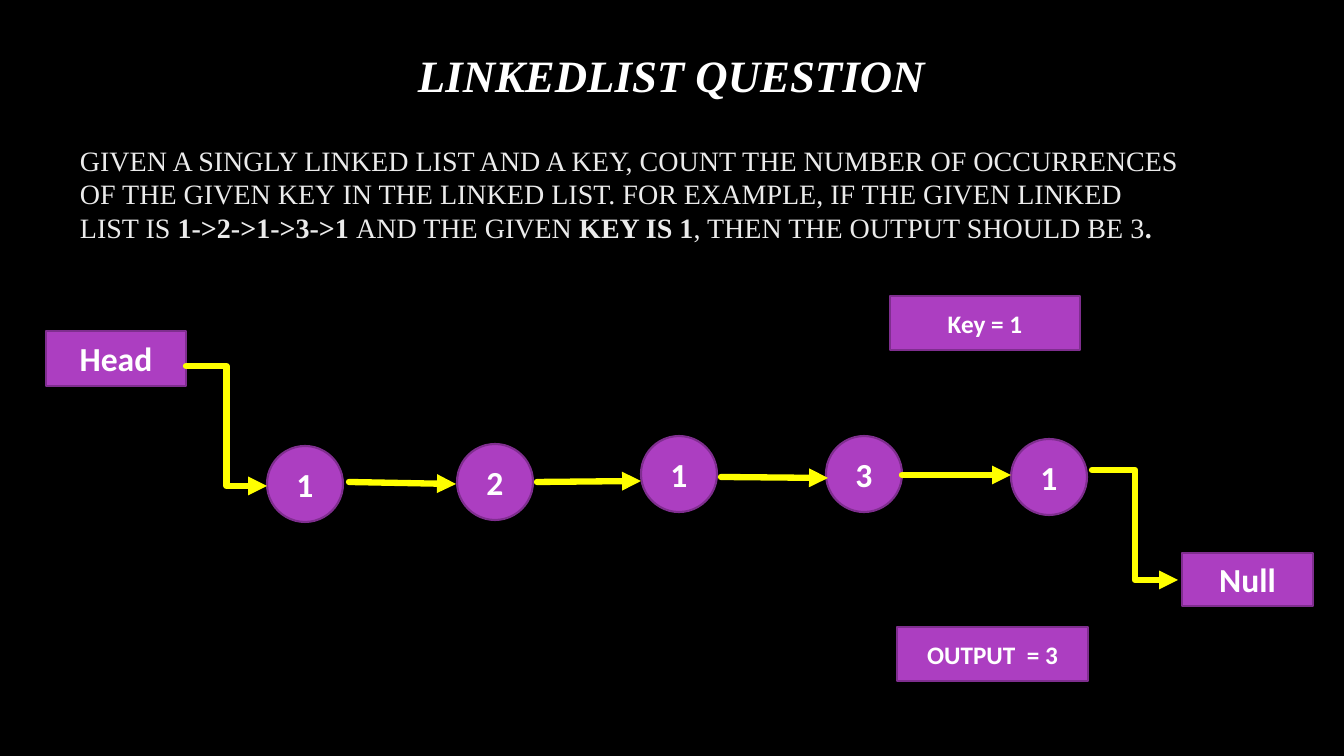
from lxml import etree
from pptx import Presentation
from pptx import util as u
from pptx.dml.color import RGBColor
from pptx.enum import shapes, text
from pptx.oxml import ns

BLACK = RGBColor(0, 0, 0)
WHITE = RGBColor(255, 255, 255)
PALE = RGBColor(0xEB, 0xEB, 0xEB)
PURPLE = RGBColor(0xAC, 0x3E, 0xC1)
DARK_PURPLE = RGBColor(0x7F, 0x2E, 0x8F)
YELLOW = RGBColor(255, 255, 0)
SERIF, SANS = "Times New Roman", "Calibri"
SCALE = 914400 / 100.8


def px(*lengths):
    return [round(length * SCALE) for length in lengths]


def set_text(frame, anchor, align, size, face, color):
    frame.word_wrap = True
    frame.auto_size = text.MSO_AUTO_SIZE.NONE
    frame.vertical_anchor = anchor
    frame.margin_left, frame.margin_right, frame.margin_top, frame.margin_bottom = px(7, 7, 4, 4)
    line = frame.paragraphs[0]
    line.alignment = align
    line.font.size, line.font.name, line.font.color.rgb = u.Pt(size), face, color
    return line


deck = Presentation()
deck.slide_width, deck.slide_height = px(1344, 756)
slide = deck.slides.add_slide(deck.slide_layouts[5])
slide.background.fill.solid()
slide.background.fill.fore_color.rgb = BLACK

title = slide.shapes.title
title.left, title.top, title.width, title.height = px(411, 44, 557, 61)
title.text_frame.text = "LINKEDLIST QUESTION"
heading = set_text(title.text_frame, text.MSO_ANCHOR.TOP, text.PP_ALIGN.LEFT, 32, SERIF, WHITE)
heading.font.bold = heading.font.italic = True

question = slide.shapes.add_textbox(*px(73, 139, 1118, 110)).text_frame
wording = set_text(question, text.MSO_ANCHOR.TOP, text.PP_ALIGN.LEFT, 20, SERIF, PALE)
for words, bold in [
    ("GIVEN A SINGLY LINKED LIST AND A KEY, COUNT THE NUMBER OF OCCURRENCES OF THE\u00a0GIVEN KEY\u00a0"
     "IN THE LINKED LIST. FOR EXAMPLE, IF THE GIVEN LINKED LIST IS\u00a0", False),
    ("1->2->1->3->1", True),
    ("\u00a0AND THE GIVEN\u00a0", False),
    ("KEY IS\u00a01", True),
    (", THEN THE OUTPUT SHOULD BE 3", False),
    (".", True),
]:
    run = wording.add_run()
    run.text, run.font.bold = words, bold

RECT, CIRCLE = shapes.MSO_SHAPE.RECTANGLE, shapes.MSO_SHAPE.OVAL
for label, kind, left, top, width, height, size in [
    ("Key = 1", RECT, 890, 296, 190, 54, 18),
    ("OUTPUT\u00a0 = 3", RECT, 897, 627, 191, 54, 18),
    ("Head", RECT, 46, 331, 140, 55, 24),
    ("Null", RECT, 1182, 553, 131, 53, 24),
    ("1", CIRCLE, 267, 446, 76, 76, 24),
    ("2", CIRCLE, 457, 444, 76, 76, 24),
    ("1", CIRCLE, 641, 436, 76, 76, 24),
    ("3", CIRCLE, 826, 436, 76, 76, 24),
    ("1", CIRCLE, 1011, 439, 76, 76, 24),
]:
    node = slide.shapes.add_shape(kind, *px(left, top, width, height))
    node.shadow.inherit = False
    node.fill.solid()
    node.fill.fore_color.rgb = PURPLE
    node.line.color.rgb = DARK_PURPLE
    node.line.width = u.Pt(1.5)
    node.text_frame.text = label
    caption = set_text(node.text_frame, text.MSO_ANCHOR.MIDDLE, text.PP_ALIGN.CENTER, size, SANS, WHITE)
    caption.font.bold = True

STRAIGHT, ELBOW = shapes.MSO_CONNECTOR.STRAIGHT, shapes.MSO_CONNECTOR.ELBOW
for kind, *ends in [
    (ELBOW, 186, 366, 267, 486),
    (STRAIGHT, 349, 482, 456, 484),
    (STRAIGHT, 537, 482, 641, 481),
    (STRAIGHT, 721, 477, 828, 478),
    (STRAIGHT, 902, 475, 1011, 475),
    (ELBOW, 1092, 470, 1178, 580),
]:
    link = slide.shapes.add_connector(kind, *px(*ends))
    link.line.color.rgb = YELLOW
    link.line.width = u.Pt(4.5)
    stroke = link.line._get_or_add_ln()
    stroke.set("cap", "rnd")
    etree.SubElement(stroke, ns.qn("a:round"))
    etree.SubElement(stroke, ns.qn("a:tailEnd"), type="triangle")
    etree.SubElement(stroke.getparent(), ns.qn("a:effectLst"))

deck.save("out.pptx")
